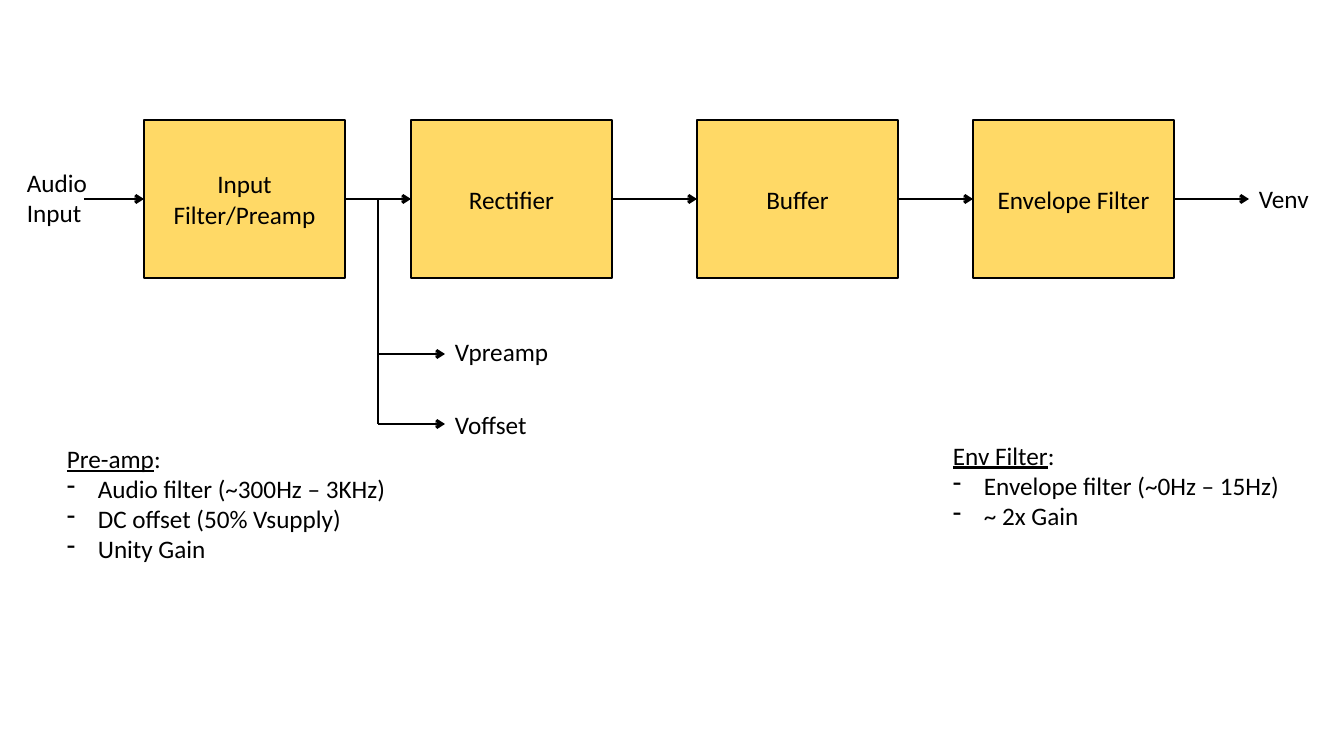
"""Builds the block diagram slide of an audio envelope follower."""
from lxml import etree
from pptx import Presentation
from pptx.dml.color import RGBColor
from pptx.enum.shapes import MSO_CONNECTOR, MSO_SHAPE
from pptx.enum.text import MSO_ANCHOR, MSO_AUTO_SIZE, PP_ALIGN
from pptx.oxml.ns import qn
from pptx.util import Pt

STRAIGHT = MSO_CONNECTOR.STRAIGHT
RECTANGLE = MSO_SHAPE.RECTANGLE
MIDDLE = MSO_ANCHOR.MIDDLE
GROW = MSO_AUTO_SIZE.SHAPE_TO_FIT_TEXT
LEFT, CENTER = PP_ALIGN.LEFT, PP_ALIGN.CENTER
LEFT_SIDE, RIGHT_SIDE = 1, 3

COLORS = {"block": "FFD966", "ink": "000000"}
FONT, FONT_SIZE = "Calibri", 18
SLIDE_SIZE = (1344, 756)

BLOCKS = [("Input Filter/Preamp", 144), ("Rectifier", 411),
          ("Buffer", 697), ("Envelope Filter", 973)]
BLOCK_TOP, BLOCK_WIDTH, BLOCK_HEIGHT = 120, 201, 158
INPUT_LEFT, OUTPUT_RIGHT = 84, 1249
BRANCH_LEFT, BRANCH_RIGHT = 378, 445
BRANCH_LEVELS = [354, 424]

LABELS = [
    (["Audio", "Input"], (17, 162, 81, 71), False),
    (["Vpreamp"], (445, 331, 133, 40), True),
    (["Voffset"], (445, 404, 133, 40), True),
    (["Venv"], (1249, 178, 76, 40), True),
]
NOTES = [
    ("Pre-amp", ["Audio filter (~300Hz – 3KHz)", "DC offset (50% Vsupply)", "Unity Gain"],
     (57, 438, 344, 163)),
    ("Env Filter", ["Envelope filter (~0Hz – 15Hz)", "~ 2x Gain"],
     (943, 435, 351, 132)),
]
BULLET_INDENT = 31


def px(length):
    return round(length * 914400 / 100.8)


def color(name):
    return RGBColor.from_string(COLORS[name])


def add_text(paragraph, text, align=LEFT, underline=None, bullet=None):
    paragraph.alignment = align
    run = paragraph.add_run()
    run.text = text
    run.font.name = FONT
    run.font.size = Pt(FONT_SIZE)
    run.font.color.rgb = color("ink")
    run.font.underline = underline
    if bullet:
        properties = paragraph._p.get_or_add_pPr()
        properties.set("marL", str(px(BULLET_INDENT)))
        properties.set("indent", str(-px(BULLET_INDENT)))
        etree.SubElement(properties, qn("a:buFontTx"))
        etree.SubElement(properties, qn("a:buChar"), char=bullet)


def add_box(slide, bounds, wrap):
    frame = slide.shapes.add_textbox(*map(px, bounds)).text_frame
    frame.word_wrap = wrap
    frame.auto_size = GROW
    return frame


def add_block(slide, text, left):
    block = slide.shapes.add_shape(
        RECTANGLE, *map(px, (left, BLOCK_TOP, BLOCK_WIDTH, BLOCK_HEIGHT)))
    block.shadow.inherit = False
    block.fill.solid()
    block.fill.fore_color.rgb = color("block")
    block.line.color.rgb = color("ink")
    block.line.width = Pt(1)
    frame = block.text_frame
    frame.word_wrap = True
    frame.vertical_anchor = MIDDLE
    add_text(frame.paragraphs[0], text, align=CENTER)
    return block


def add_line(slide, start, end, arrow=True, source=None, target=None):
    connector = slide.shapes.add_connector(STRAIGHT, *map(px, start + end))
    connector.line.color.rgb = color("ink")
    connector.line.width = Pt(2)
    if arrow:
        etree.SubElement(connector.line._get_or_add_ln(), qn("a:tailEnd"), type="arrow")
    etree.SubElement(connector._element.spPr, qn("a:effectLst"))
    if source is not None:
        connector.begin_connect(source, RIGHT_SIDE)
    if target is not None:
        connector.end_connect(target, LEFT_SIDE)


def main():
    presentation = Presentation()
    presentation.slide_width, presentation.slide_height = map(px, SLIDE_SIZE)
    slide = presentation.slides.add_slide(presentation.slide_layouts[6])

    blocks = [add_block(slide, text, left) for text, left in BLOCKS]
    signal_level = BLOCK_TOP + BLOCK_HEIGHT // 2
    starts = [INPUT_LEFT] + [left + BLOCK_WIDTH for _, left in BLOCKS]
    ends = [left for _, left in BLOCKS] + [OUTPUT_RIGHT]
    for start, end, source, target in zip(starts, ends, [None] + blocks, blocks + [None]):
        add_line(slide, (start, signal_level), (end, signal_level),
                 source=source, target=target)

    add_line(slide, (BRANCH_LEFT, signal_level), (BRANCH_LEFT, BRANCH_LEVELS[-1]), arrow=False)
    for level in BRANCH_LEVELS:
        add_line(slide, (BRANCH_LEFT, level), (BRANCH_RIGHT, level))

    for lines, bounds, wrap in LABELS:
        frame = add_box(slide, bounds, wrap)
        for index, line in enumerate(lines):
            add_text(frame.add_paragraph() if index else frame.paragraphs[0], line)

    for heading, items, bounds in NOTES:
        frame = add_box(slide, bounds, False)
        add_text(frame.paragraphs[0], heading, underline=True)
        add_text(frame.paragraphs[0], ":")
        for item in items:
            add_text(frame.add_paragraph(), item, bullet="-")

    presentation.save("out.pptx")


if __name__ == "__main__":
    main()
